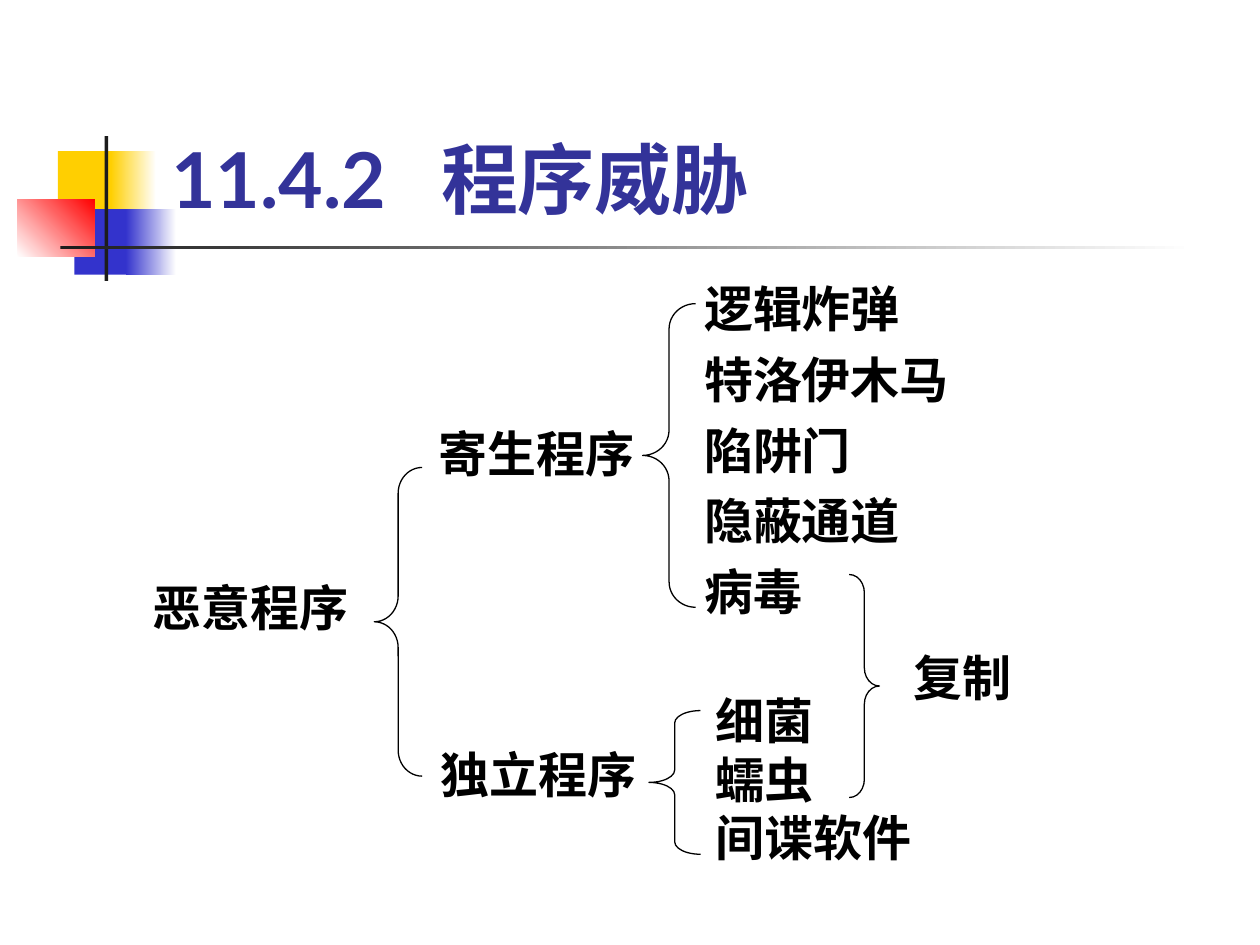
from lxml import etree
from pptx import Presentation
from pptx.dml.color import RGBColor
from pptx.enum.lang import MSO_LANGUAGE_ID
from pptx.enum.shapes import MSO_SHAPE
from pptx.enum.text import MSO_ANCHOR, MSO_AUTO_SIZE, PP_ALIGN
from pptx.oxml.ns import qn
from pptx.util import Inches, Pt

RECTANGLE = MSO_SHAPE.RECTANGLE
LEFT_BRACE = MSO_SHAPE.LEFT_BRACE
RIGHT_BRACE = MSO_SHAPE.RIGHT_BRACE
CHINESE = MSO_LANGUAGE_ID.SIMPLIFIED_CHINESE

COLORS = {
    "yellow": "FFCF01",
    "blue": "3333CC",
    "red": "FF0000",
    "dark": "1C1C1C",
    "white": "FFFFFF",
    "title": "333399",
    "text": "000000",
}
RGB = {name: RGBColor.from_string(value) for name, value in COLORS.items()}


def apply_format(target, values):
    for attribute, value in values.items():
        setattr(target, attribute, value)


def add_run(paragraph, wording, latin, size, color):
    run = paragraph.add_run()
    run.text = wording
    apply_format(run.font, {"name": latin, "size": Pt(size), "bold": True,
                            "language_id": CHINESE})
    run.font.color.rgb = RGB[color]
    east_asian = etree.SubElement(run.font._element, qn("a:ea"))
    east_asian.set("typeface", "Lato")


prs = Presentation()
prs.slide_width = Inches(10)
prs.slide_height = Inches(7.5)
slide = prs.slides.add_slide(prs.slide_layouts[5])

ornaments = [
    (0.46, 1.2, 0.48, 0.52, ["yellow"], 0),
    (0.88, 1.2, 0.36, 0.52, ["yellow", "white"], 0),
    (0.59, 1.66, 0.46, 0.52, ["blue"], 0),
    (1, 1.66, 0.4, 0.52, ["blue", "white"], 0),
    (0.14, 1.58, 0.61, 0.46, ["white", "red"], 45),
    (0.83, 1.08, 0.03, 1.15, ["dark"], 0),
    (0.48, 1.95, 9, 0.03, ["dark", "white"], 0),
]
for *box, shades, angle in ornaments:
    ornament = slide.shapes.add_shape(RECTANGLE, *map(Inches, box))
    ornament.shadow.inherit = False
    ornament.line.fill.background()
    if len(shades) == 1:
        ornament.fill.solid()
        ornament.fill.fore_color.rgb = RGB[shades[0]]
    else:
        ornament.fill.gradient()
        ornament.fill.gradient_angle = angle
        for stop, shade in zip(ornament.fill.gradient_stops, shades):
            stop.color.rgb = RGB[shade]

title = slide.shapes.title
apply_format(title, {"left": Inches(1.26), "top": Inches(0.23),
                     "width": Inches(8.52), "height": Inches(1.6)})
apply_format(title.text_frame, {"vertical_anchor": MSO_ANCHOR.BOTTOM,
                                "auto_size": MSO_AUTO_SIZE.NONE,
                                "word_wrap": True})
heading = title.text_frame.paragraphs[0]
heading.alignment = PP_ALIGN.LEFT
tab_list = etree.SubElement(heading._p.get_or_add_pPr(), qn("a:tabLst"))
etree.SubElement(tab_list, qn("a:tab"), pos=str(Inches(2.14)), algn="l")
add_run(heading, "11.4.2\t", "Lato", 44, "title")
add_run(heading, "程序威胁", "Times New Roman", 44, "title")

braces = [
    (LEFT_BRACE, 2.97, 3.71, 0.38, 2.45, 0.54),
    (LEFT_BRACE, 5.1, 2.41, 0.42, 2.41, 0.48),
    (RIGHT_BRACE, 6.74, 4.56, 0.24, 1.77, 0.6),
    (LEFT_BRACE, 5.15, 5.64, 0.41, 1.14, 0.24),
]
for kind, *box, curve in braces:
    brace = slide.shapes.add_shape(kind, *map(Inches, box))
    brace.shadow.inherit = False
    brace.adjustments[0] = curve
    brace.fill.background()
    brace.line.color.rgb = RGB["text"]
    brace.line.width = Pt(0.75)

groups = [
    (1.21, 4.58, 1.66, 0.63, 0, 0, 1, ["恶意程序"]),
    (3.44, 3.36, 1.7, 0.6, 0.04, 0, 1, ["寄生程序"]),
    (3.46, 5.86, 1.7, 0.96, 0.04, 0.05, 1, ["独立程序"]),
    (5.49, 2.11, 3.43, 3.08, 0.1, 0.01, 1.2,
     ["逻辑炸弹", "特洛伊木马", "陷阱门", "隐蔽通道", "病毒"]),
    (5.58, 5.43, 1.86, 0.74, 0.1, 0.05, 1, ["细菌", "蠕虫", "间谍软件"]),
    (7.15, 5.09, 1.72, 0.67, 0.1, 0.05, 1, ["复制"]),
]
for *box, side, edge, spacing, programs in groups:
    frame = slide.shapes.add_textbox(*map(Inches, box)).text_frame
    apply_format(frame, {"word_wrap": True,
                         "margin_left": Inches(side),
                         "margin_right": Inches(side),
                         "margin_top": Inches(edge),
                         "margin_bottom": Inches(edge)})
    for index, program in enumerate(programs):
        entry = frame.add_paragraph() if index else frame.paragraphs[0]
        apply_format(entry, {"alignment": PP_ALIGN.JUSTIFY,
                             "line_spacing": float(spacing)})
        add_run(entry, program, "Times New Roman", 28, "text")

prs.save("out.pptx")
